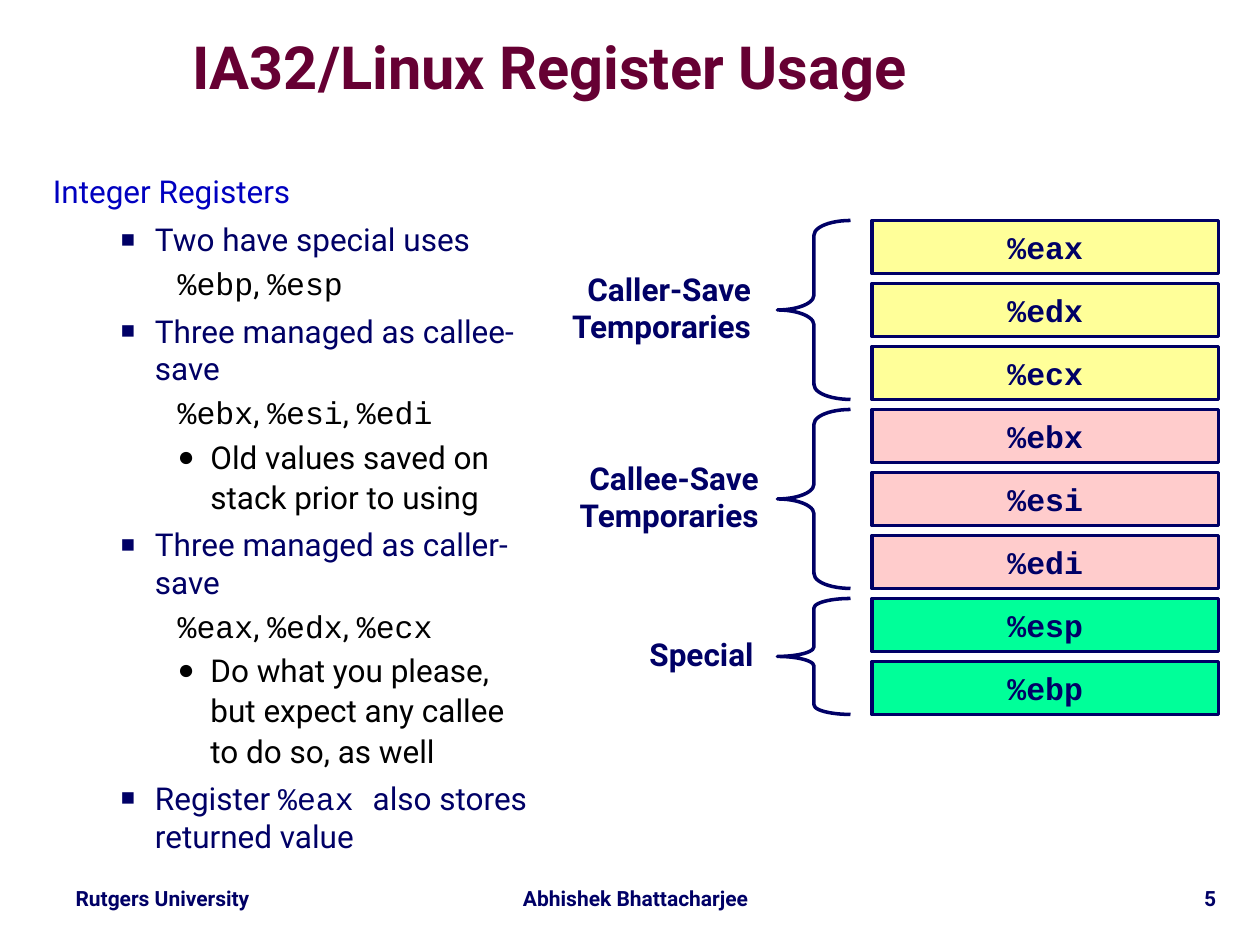
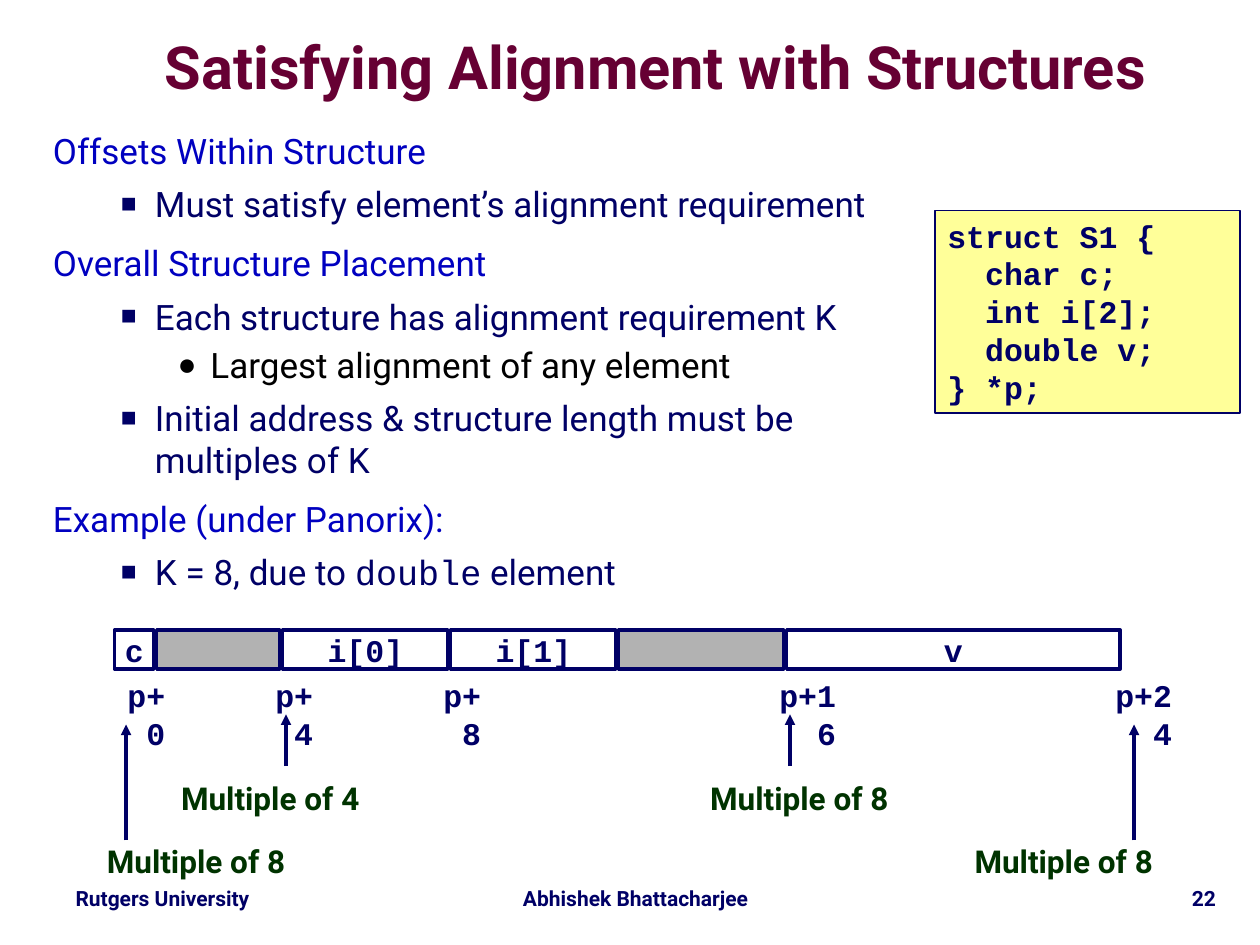
from pptx import Presentation
from pptx.dml.color import RGBColor
from pptx.enum.shapes import MSO_CONNECTOR, MSO_SHAPE
from pptx.enum.text import MSO_ANCHOR, MSO_AUTO_SIZE, PP_ALIGN
from pptx.oxml.ns import qn
from pptx.util import Inches, Pt
from lxml import etree

LEFT, CENTER, RIGHT = PP_ALIGN.LEFT, PP_ALIGN.CENTER, PP_ALIGN.RIGHT
TOP, MIDDLE = MSO_ANCHOR.TOP, MSO_ANCHOR.MIDDLE
RECTANGLE, BRACE = MSO_SHAPE.RECTANGLE, MSO_SHAPE.LEFT_BRACE
SANS, MONO = "Roboto", "Courier New"
COLORS = {
    "navy": "000066", "maroon": "660033", "blue": "0000C0", "black": "000000",
    "green": "003300", "yellow": "FFFF99", "pink": "FFCCCC", "mint": "00FF99",
    "gray": "B2B2B2", "white": "FFFFFF",
}

# Shared content: left, top, width, height, alignment, text (None: slide number)
FOOTERS = [
    (0.33, 7, 1.92, 0.28, CENTER, "Rutgers University"),
    (3.92, 7, 2.25, 0.28, CENTER, "Abhishek Bhattacharjee"),
    (8.17, 7, 1.58, 0.3, RIGHT, None),
]

# Outline levels: colour, left margin, hanging indent, line spacing,
# space before as a share of the line, bullet, bullet size in percent
LEVELS = [
    ("blue", 0, 0, 0.95, 0.5, None, None),
    ("navy", 0.81, -0.27, 1.0, 0.25, "■", 75),
    ("black", 1.25, -0.26, 1.07, 0.1, "●", 90),
]
LINE_HEIGHT = 1.17

# Outlines: level and text, with code between backticks;
# a line that starts with code has no bullet
REGISTER_OUTLINE = [
    (0, "Integer Registers"),
    (1, "Two have special uses"),
    (2, "`%ebp`, `%esp`"),
    (1, "Three managed as callee-save"),
    (2, "`%ebx`, `%esi`, `%edi`"),
    (2, "Old values saved on stack prior to using"),
    (1, "Three managed as caller-save"),
    (2, "`%eax`, `%edx`, `%ecx`"),
    (2, "Do what you please, but expect any callee to do so, as well"),
    (1, "Register `%eax `also stores returned value"),
]
ALIGNMENT_OUTLINE = [
    (0, "Offsets Within Structure"),
    (1, "Must satisfy element’s alignment requirement"),
    (0, "Overall Structure Placement"),
    (1, "Each structure has alignment requirement K"),
    (2, "Largest alignment of any element"),
    (1, "Initial address & structure length must be multiples of K"),
    (0, "Example (under Panorix):"),
    (1, "K = 8, due to `double` element"),
]

# Register groups: label, label's right edge, fill, brace curve, registers
REGISTER_GROUPS = [
    (["Caller-Save", "Temporaries"], 6.06, "yellow", 0.202, ["%eax", "%edx", "%ecx"]),
    (["Callee-Save", "Temporaries"], 6.12, "pink", 0.202, ["%ebx", "%esi", "%edi"]),
    (["Special"], 6.08, "mint", 0.131, ["%esp", "%ebp"]),
]
REGISTER_TOP, REGISTER_PITCH, REGISTER_HEIGHT = 1.75, 0.5, 0.42

STRUCT_CODE = ["struct S1 {", "  char c;", "  int i[2];", "  double v;", "} *p;"]

# Memory fields: name (None: padding) and bytes
MEMORY_FIELDS = [("c", 1), (None, 3), ("i[0]", 4), ("i[1]", 4), (None, 4), ("v", 8)]
MEMORY_LEFT, MEMORY_TOP, BYTE_WIDTH, FIELD_GAP = 0.91, 5, 1 / 3, 0.02
# Address labels: byte offset and shift from that byte
ADDRESSES = [(0, -0.14), (4, -0.3), (8, -0.3), (16, -0.3), (24, -0.3)]
# Alignment notes: text, left, top, width, alignment, arrow x, arrow start, arrow end
ALIGNMENT_NOTES = [
    ("Multiple of 4", 1.02, 6.17, 2.25, CENTER, 2.27, 6.08, 5.67),
    ("Multiple of 8", 4.93, 6.17, 2.83, CENTER, 6.27, 6.08, 5.67),
    ("Multiple of 8", 0.75, 6.67, 2.83, LEFT, 1, 6.67, 5.75),
    ("Multiple of 8", 6.42, 6.67, 2.83, RIGHT, 9, 6.67, 5.75),
]


def rgb(name):
    return RGBColor.from_string(COLORS[name])


def write(paragraph, text, size=18, color="navy", font=SANS, bold=True,
          align=LEFT, spacing=1.0, before=0):
    """Write text into a paragraph; parts between backticks become code."""
    paragraph.alignment = align
    paragraph.line_spacing = spacing
    paragraph.space_before = Pt(before)
    for index, part in enumerate(text.split("`")):
        if part:
            run = paragraph.add_run()
            run.text = part
            run.font.name = MONO if index % 2 else font
            run.font.size = Pt(size)
            run.font.bold = bold
            run.font.color.rgb = rgb(color)


def prepare_frame(shape, anchor=TOP, wrap=True, insets=(0.1, 0.05)):
    frame = shape.text_frame
    frame.auto_size = MSO_AUTO_SIZE.NONE
    frame.word_wrap = wrap
    frame.vertical_anchor = anchor
    frame.margin_left = frame.margin_right = Inches(insets[0])
    frame.margin_top = frame.margin_bottom = Inches(insets[1])
    return frame


def paragraphs_for(frame, count):
    return [frame.paragraphs[0]] + [frame.add_paragraph() for _ in range(count - 1)]


def fill_text(frame, lines, **text_format):
    for paragraph, line in zip(paragraphs_for(frame, len(lines)), lines):
        write(paragraph, line, **text_format)


def place(shape, left, top, width, height):
    shape.left, shape.top = Inches(left), Inches(top)
    shape.width, shape.height = Inches(width), Inches(height)


def add_text(slide, box, lines, anchor=TOP, **text_format):
    shape = slide.shapes.add_textbox(*map(Inches, box))
    fill_text(prepare_frame(shape, anchor), lines, **text_format)


def add_outlined(slide, kind, box, fill=None, line_width=2):
    shape = slide.shapes.add_shape(kind, *map(Inches, box))
    shape.shadow.inherit = False
    if fill:
        shape.fill.solid()
        shape.fill.fore_color.rgb = rgb(fill)
    else:
        shape.fill.background()
    shape.line.color.rgb = rgb("navy")
    shape.line.width = Pt(line_width)
    return shape


def add_cell(slide, box, fill, text):
    shape = add_outlined(slide, RECTANGLE, box, fill)
    if text:
        frame = prepare_frame(shape, MIDDLE, wrap=False)
        fill_text(frame, [text], font=MONO, align=CENTER)


def add_arrow(slide, x, start, end):
    arrow = slide.shapes.add_connector(
        MSO_CONNECTOR.STRAIGHT, *map(Inches, (x, start, x, end)))
    arrow.line.color.rgb = rgb("navy")
    arrow.line.width = Pt(2)
    etree.SubElement(arrow.line._get_or_add_ln(), qn("a:tailEnd"), type="triangle")
    etree.SubElement(arrow._element.spPr, qn("a:effectLst"))


def set_bullet(paragraph, margin, indent, bullet, percent):
    properties = paragraph._p.get_or_add_pPr()
    properties.set("marL", str(Inches(margin)))
    properties.set("indent", str(Inches(indent)))
    if bullet:
        etree.SubElement(properties, qn("a:buSzPct"), val=str(percent * 1000))
        etree.SubElement(properties, qn("a:buChar"), char=bullet)
    else:
        etree.SubElement(properties, qn("a:buNone"))


def fill_outline(shape, outline, size):
    frame = prepare_frame(shape)
    paragraphs = paragraphs_for(frame, len(outline))
    for index, (paragraph, (level, text)) in enumerate(zip(paragraphs, outline)):
        color, margin, indent, spacing, share, bullet, percent = LEVELS[level]
        paragraph.level = level
        set_bullet(paragraph, margin, indent,
                   None if text.startswith("`") else bullet, percent)
        before = round(share * LINE_HEIGHT * size, 1) if index else 0
        write(paragraph, text, size=size, color=color, bold=False,
              spacing=spacing, before=before)


def add_slide(presentation, number, title, title_box, outline, body_box, body_size):
    """Add a slide with its title, outline and footers."""
    slide = presentation.slides.add_slide(presentation.slide_layouts[1])
    slide.background.fill.solid()
    slide.background.fill.fore_color.rgb = rgb("white")
    heading, body = slide.shapes.title, slide.placeholders[1]
    place(heading, *title_box)
    fill_text(prepare_frame(heading, MIDDLE, insets=(0, 0)), [title],
              size=34, color="maroon", align=CENTER, spacing=0.87)
    place(body, *body_box)
    fill_outline(body, outline, body_size)
    for *box, align, text in FOOTERS:
        add_text(slide, box, [text or str(number)], size=12, align=align, spacing=0.9)
    return slide


def add_register_groups(slide):
    top = REGISTER_TOP
    for label, label_right, fill, curve, registers in REGISTER_GROUPS:
        for index, register in enumerate(registers):
            box = (6.92, top + index * REGISTER_PITCH, 2.75, REGISTER_HEIGHT)
            add_cell(slide, box, fill, register)
        height = (len(registers) - 1) * REGISTER_PITCH + REGISTER_HEIGHT
        brace = add_outlined(slide, BRACE, (6.17, top, 0.58, height))
        brace.adjustments[0] = curve
        add_text(slide, (label_right - 1.7, top - 0.02, 1.7, height), label,
                 anchor=MIDDLE, align=RIGHT)
        top += len(registers) * REGISTER_PITCH


def add_memory_layout(slide):
    # Fields in a row, scaled by bytes
    offset = 0
    for name, size in MEMORY_FIELDS:
        box = (MEMORY_LEFT + offset * BYTE_WIDTH, MEMORY_TOP,
               size * BYTE_WIDTH - FIELD_GAP, 0.31)
        add_cell(slide, box, "white" if name else "gray", name)
        offset += size
    # Addresses: boxes a little narrower than the text, so the last digit wraps
    for offset, shift in ADDRESSES:
        text = f"p+{offset}"
        left = MEMORY_LEFT + offset * BYTE_WIDTH + shift
        add_text(slide, (left, 5.32, 0.19 + 0.15 * len(text), 0.7), [text],
                 font=MONO, align=RIGHT)
    # Alignment notes with their arrows
    for text, left, top, width, align, x, start, end in ALIGNMENT_NOTES:
        add_text(slide, (left, top, width, 0.42), [text],
                 color="green", align=align, spacing=0.9)
        add_arrow(slide, x, start, end)


def main():
    presentation = Presentation()
    presentation.slide_width, presentation.slide_height = Inches(10), Inches(7.5)

    registers = add_slide(presentation, 5, "IA32/Linux Register Usage",
                          (0.5, 0.25, 7.72, 0.63),
                          REGISTER_OUTLINE, (0.32, 1.34, 4.04, 5.71), 18)
    add_register_groups(registers)

    structures = add_slide(presentation, 22, "Satisfying Alignment with Structures",
                           (0.41, 0.25, 9.59, 0.63),
                           ALIGNMENT_OUTLINE, (0.32, 1, 7.1, 6.05), 20)
    code_box = add_outlined(structures, RECTANGLE, (7.42, 1.67, 2.42, 1.61),
                            "yellow", line_width=1)
    fill_text(prepare_frame(code_box), STRUCT_CODE, font=MONO)
    add_memory_layout(structures)

    presentation.save("out.pptx")


if __name__ == "__main__":
    main()
